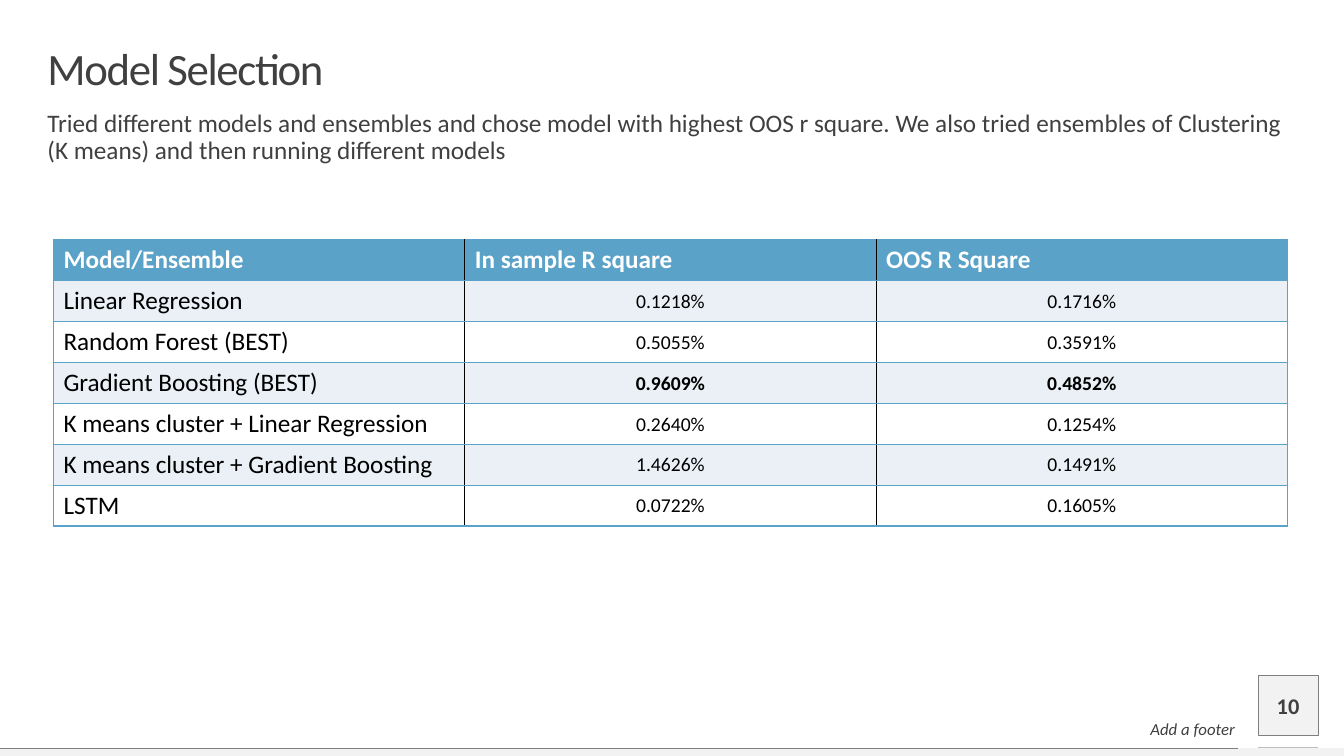
from lxml.etree import SubElement
from pptx import Presentation
from pptx.dml.color import RGBColor
from pptx.enum.shapes import MSO_CONNECTOR, MSO_SHAPE
from pptx.enum.text import MSO_ANCHOR as Anchor, MSO_AUTO_SIZE, PP_ALIGN as Align
from pptx.oxml.ns import qn
from pptx.util import Inches, Pt

TITLE = "Model Selection"
SUMMARY = (
    "Tried different models and ensembles and chose model with highest OOS r square. "
    "We also tried ensembles of Clustering (K means) and then running different models"
)
FOOTER = "Add a footer"
PAGE_NUMBER = "10"
RESULTS = [
    ("Model/Ensemble", "In sample R square", "OOS R Square"),
    ("Linear Regression", "0.1218%", "0.1716%"),
    ("Random Forest (BEST)", "0.5055%", "0.3591%"),
    ("Gradient Boosting (BEST)", "0.9609%", "0.4852%"),
    ("K means cluster + Linear Regression", "0.2640%", "0.1254%"),
    ("K means cluster + Gradient Boosting", "1.4626%", "0.1491%"),
    ("LSTM", "0.0722%", "0.1605%"),
]
BEST_ROW = 3
COLORS = {
    "text": "404040", "panel": "F2F2F2", "outline": "7F7F7F", "rule": "BFBFBF",
    "accent": "5AA2C8", "band": "EAF0F5", "white": "FFFFFF", "black": "000000",
}
FONT = "Calibri"


def rgb(name):
    return RGBColor.from_string(COLORS[name])


def set_font(paragraph, size, color="text", bold=False, italic=False):
    font = paragraph.font
    font.name, font.size = FONT, Pt(size)
    font.bold, font.italic = bold, italic
    font.color.rgb = rgb(color)


def fill_text(shape, box, text, size, anchor, align, **style):
    shape.left, shape.top, shape.width, shape.height = map(Inches, box)
    frame = shape.text_frame
    frame.word_wrap = True
    frame.auto_size = MSO_AUTO_SIZE.NONE
    frame.vertical_anchor = anchor
    frame.margin_left = frame.margin_top = frame.margin_right = frame.margin_bottom = 0
    frame.text = text
    paragraph = frame.paragraphs[0]
    paragraph.alignment = align
    paragraph.space_before = Pt(0)
    return paragraph, style, size


def add_panel(slide, box, outline=None):
    panel = slide.shapes.add_shape(MSO_SHAPE.RECTANGLE, *map(Inches, box))
    panel.shadow.inherit = False
    panel.fill.solid()
    panel.fill.fore_color.rgb = rgb("panel")
    if outline:
        panel.line.color.rgb = rgb(outline)
        panel.line.width = Pt(0.25)
    else:
        panel.line.fill.background()


def add_rule(slide, left, right, top, color, width):
    rule = slide.shapes.add_connector(
        MSO_CONNECTOR.STRAIGHT, Inches(left), Inches(top), Inches(right), Inches(top))
    rule.line.color.rgb = rgb(color)
    rule.line.width = Pt(width)
    SubElement(rule._element.spPr, qn("a:effectLst"))


def add_borders(cell, borders):
    properties = cell._tc.get_or_add_tcPr()
    for position, (side, color, width) in enumerate(borders):
        line = properties.makeelement(qn(f"a:ln{side}"), {"w": str(Pt(width))})
        fill = SubElement(line, qn("a:solidFill"))
        SubElement(fill, qn("a:srgbClr"), val=COLORS[color])
        properties.insert(position, line)


def add_results(slide):
    rows, columns = len(RESULTS), len(RESULTS[0])
    table = slide.shapes.add_table(
        rows, columns, Inches(0.53), Inches(2.38), Inches(12.24), Inches(2.84)).table
    inner, outer = ("black", 0.75), ("accent", 1)
    for row, values in enumerate(RESULTS):
        for column, value in enumerate(values):
            cell = table.cell(row, column)
            cell.text = value
            paragraph = cell.text_frame.paragraphs[0]
            header = row == 0
            number = column > 0 and not header
            if number:
                cell.vertical_anchor = Anchor.MIDDLE
                cell.margin_left = cell.margin_top = cell.margin_right = Inches(0.01)
                cell.margin_bottom = 0
                paragraph.alignment = Align.CENTER
            set_font(paragraph, 14 if number else 18, "white" if header else "black",
                     bold=header or (number and row == BEST_ROW))
            cell.fill.solid()
            cell.fill.fore_color.rgb = rgb(
                "accent" if header else "band" if row % 2 else "white")
            add_borders(cell, [
                ("L", *(inner if column else outer)),
                ("R", *(inner if column < columns - 1 else outer)),
                ("T", *outer),
                ("B", *outer),
            ])


def main():
    presentation = Presentation()
    presentation.slide_width, presentation.slide_height = Inches(13.33), Inches(7.5)
    slide = presentation.slides.add_slide(presentation.slide_layouts[1])

    add_panel(slide, (12.48, 6.7, 0.59, 0.59), "outline")
    add_panel(slide, (0, 7.42, 13.33, 0.08))
    add_rule(slide, 12.48, 13.07, 7.41, "rule", 0.5)
    add_rule(slide, 0, 12.28, 7.42, "outline", 0.25)

    title, body = slide.placeholders
    footer, number = (slide.shapes.add_textbox(0, 0, 0, 0) for _ in range(2))
    texts = [
        fill_text(title, (0.47, 0.47, 12.4, 0.47), TITLE, 32, Anchor.MIDDLE, Align.LEFT),
        fill_text(body, (0.47, 1.1, 12.4, 0.39), SUMMARY, 18, Anchor.TOP, Align.LEFT),
        fill_text(footer, (7.75, 7.1, 4.5, 0.23), FOOTER, 12, Anchor.BOTTOM,
                  Align.RIGHT, italic=True),
        fill_text(number, (12.48, 6.8, 0.59, 0.4), PAGE_NUMBER, 16, Anchor.MIDDLE,
                  Align.CENTER, bold=True),
    ]
    heading, summary = texts[0][0], texts[1][0]
    heading.line_spacing = summary.line_spacing = 0.9
    heading.runs[0].font._element.set("spc", "-100")
    summary_properties = summary._p.get_or_add_pPr()
    summary_properties.set("marL", "0")
    summary_properties.set("indent", "0")
    SubElement(summary_properties, qn("a:buNone"))
    for paragraph, style, size in texts:
        set_font(paragraph, size, **style)

    add_results(slide)
    presentation.save("out.pptx")


if __name__ == "__main__":
    main()
